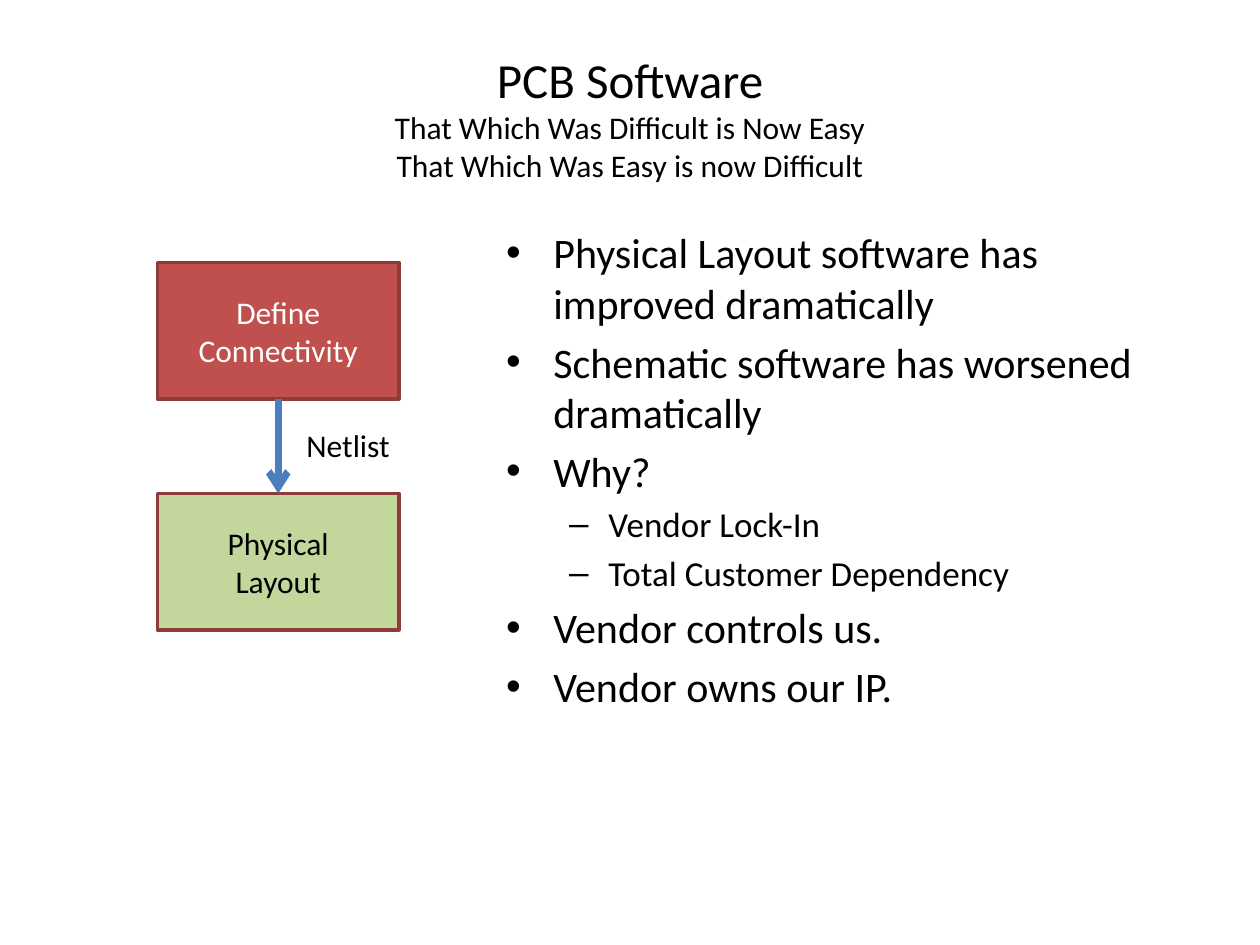
from copy import deepcopy

from pptx import Presentation
from pptx.dml.color import RGBColor
from pptx.enum.shapes import MSO_CONNECTOR as CONN, MSO_SHAPE as SHAPE
from pptx.enum.text import MSO_ANCHOR as ANCHOR, MSO_AUTO_SIZE as AUTO, PP_ALIGN as ALIGN
from pptx.oxml.ns import qn
from pptx.util import Emu, Pt
from lxml.etree import SubElement

PX = 9525  # 96 px to the inch
COLORS = {"text": "000000", "light": "FFFFFF", "red": "C0504D",
          "green": "C3D69B", "border": "8E3B39", "arrow": "4B7EBC"}

# Content
TITLE = [("PCB Software", 28),
         ("That Which Was Difficult is Now Easy", 18),
         ("That Which Was Easy is now Difficult", 18)]
BULLETS = [(0, "Physical Layout software has improved dramatically"),
           (0, "Schematic software has worsened dramatically"),
           (0, "Why?"),
           (1, "Vendor Lock-In"),
           (1, "Total Customer Dependency"),
           (0, "Vendor controls us."),
           (0, "Vendor owns our IP.")]
BULLET_SIZES = [24, 20]
STAGES = [(["Define", "Connectivity"], "red", "light"),
          (["Physical", "Layout"], "green", "text")]
FLOW_LABEL = "Netlist"

# Layout in px
TITLE_BOX = (48, 29, 864, 120)
BODY_BOX = (376, 168, 536, 475)
LABEL_BOX = (224, 320, 84, 38)
STAGE_X, STAGE_Y, STAGE_W, STAGE_H, STAGE_GAP = 120, 200, 184, 104, 72


def px(*values):
    return [Emu(v * PX) for v in values]


def rgb(name):
    return RGBColor.from_string(COLORS[name])


def place(sp, box):
    for key, value in zip(("left", "top", "width", "height"), px(*box)):
        setattr(sp, key, value)


def add_run(p, text, size, color="text"):
    r = p.add_run()
    r.text = text
    for key, value in {"name": "Calibri", "size": Pt(size)}.items():
        setattr(r.font, key, value)
    r.font.color.rgb = rgb(color)
    return r


def paragraphs(tf, count):
    return [tf.paragraphs[0]] + [tf.add_paragraph() for _ in range(count - 1)]


def set_line(line, color, width):
    line.color.rgb = rgb(color)
    line.width = Pt(width)


prs = Presentation()
prs.slide_width, prs.slide_height = px(960, 720)
s = prs.slides.add_slide(prs.slide_layouts[1])
title, body = s.placeholders

# Title
place(title, TITLE_BOX)
tf = title.text_frame
tf.auto_size, tf.vertical_anchor = AUTO.NONE, ANCHOR.MIDDLE
p = tf.paragraphs[0]
p.alignment = ALIGN.CENTER
for i, (text, size) in enumerate(TITLE):
    if i:
        p.add_line_break()
        p._p[-1].append(deepcopy(r._r.rPr))  # the break keeps its line's size
    r = add_run(p, text, size)

# Bullet list
place(body, BODY_BOX)
tf = body.text_frame
tf.auto_size = AUTO.NONE
for p, (level, text) in zip(paragraphs(tf, len(BULLETS)), BULLETS):
    p.level = level
    add_run(p, text, BULLET_SIZES[level])

# Flow stages
boxes = []
for i, (lines, fill, color) in enumerate(STAGES):
    y = STAGE_Y + i * (STAGE_H + STAGE_GAP)
    sp = s.shapes.add_shape(SHAPE.RECTANGLE, *px(STAGE_X, y, STAGE_W, STAGE_H))
    sp.shadow.inherit = False
    sp.fill.solid()
    sp.fill.fore_color.rgb = rgb(fill)
    set_line(sp.line, "border", 2)
    tf = sp.text_frame
    tf.vertical_anchor = ANCHOR.MIDDLE
    for p, text in zip(paragraphs(tf, len(lines)), lines):
        p.alignment = ALIGN.CENTER
        add_run(p, text, 18, color)
    boxes.append(sp)

# Arrow between the stages
for upper, lower in zip(boxes, boxes[1:]):
    arrow = s.shapes.add_connector(CONN.STRAIGHT, 0, 0, 0, 0)
    arrow.begin_connect(upper, 2)
    arrow.end_connect(lower, 0)
    set_line(arrow.line, "arrow", 4)
    SubElement(arrow.line._get_or_add_ln(), qn("a:tailEnd"), type="arrow")
    SubElement(arrow._element.spPr, qn("a:effectLst"))

# Arrow label
label = s.shapes.add_textbox(*px(*LABEL_BOX))
tf = label.text_frame
tf.word_wrap, tf.auto_size = False, AUTO.SHAPE_TO_FIT_TEXT
add_run(tf.paragraphs[0], FLOW_LABEL, 18)

prs.save("out.pptx")
